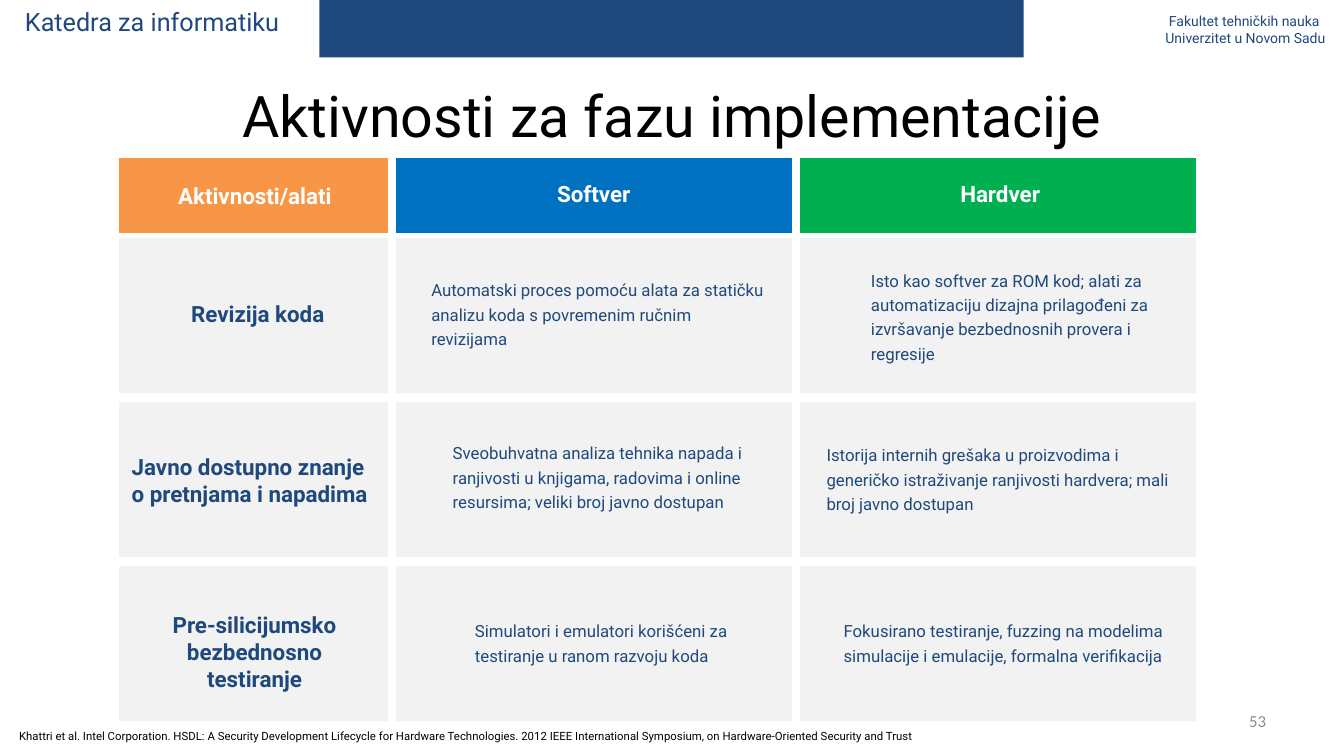
from pptx import Presentation
from pptx.util import Cm, Pt
from pptx.dml.color import RGBColor
from pptx.enum import shapes, text

NAVY = RGBColor(0x1F, 0x49, 0x7D)
ORANGE = RGBColor(0xF7, 0x96, 0x46)
BLUE = RGBColor(0x00, 0x70, 0xC0)
GREEN = RGBColor(0x00, 0xB0, 0x50)
PALE = RGBColor(0xF2, 0xF2, 0xF2)
GRAY = RGBColor(0x8C, 0x8C, 0x8C)
WHITE = RGBColor(0xFF, 0xFF, 0xFF)
BLACK = RGBColor(0, 0, 0)
MID = text.PP_ALIGN.CENTER
RIGHT = text.PP_ALIGN.RIGHT

COLS = [(2.95, 6.88, ORANGE), (9.93, 10.08, BLUE), (20.12, 10.08, GREEN)]
HEAD_TOP, HEAD_HIGH = 3.94, 1.98
ROW_TOP, ROW_HIGH, ROW_STEP = 5.94, 4.01, 4.14

HEADS = [
    ("Aktivnosti/alati", (4.24, 4.45, 4.45, 0.94), dict(wrap=False)),
    ("Softver", (13.77, 4.42, 2.39, 0.94), dict(wrap=False, align=MID)),
    ("Hardver", (22.17, 4.42, 6.07, 0.94), dict(align=MID)),
]
LABELS = [
    ("Revizija koda", (4.57, 7.44, 5.23, 0.94), {}),
    ("Javno dostupno znanje\no pretnjama i napadima", (3.07, 11.28, 7.01, 1.63), {}),
    ("Pre-silicijumsko\nbezbednosno\ntestiranje", (3.94, 15.27, 4.95, 2.31), dict(align=MID)),
]
NOTES = [
    ("Automatski proces pomoću alata za statičku analizu koda "
     "s povremenim ručnim revizijama", (10.74, 7.19, 8.84, 1.37)),
    ("Sveobuhvatna analiza tehnika napada i ranjivosti u knjigama, radovima "
     "i online resursima; veliki broj javno dostupan", (11.28, 10.97, 8.23, 2.01)),
    ("Simulatori i emulatori korišćeni za testiranje u ranom razvoju koda",
     (11.84, 15.47, 8.41, 1.37)),
    ("Isto kao softver za ROM kod; alati za automatizaciju dizajna prilagođeni "
     "za izvršavanje bezbednosnih provera i regresije", (21.82, 6.6, 7.9, 2.67)),
    ("Istorija internih grešaka u proizvodima i generičko istraživanje "
     "ranjivosti hardvera; mali broj javno dostupan", (20.7, 11.02, 9.02, 2.01)),
    ("Fokusirano testiranje, fuzzing na modelima simulacije i emulacije, "
     "formalna verifikacija", (21.13, 15.47, 9.25, 1.37)),
]
CITE = ("Khattri et al. Intel Corporation. HSDL: A Security Development Lifecycle "
        "for Hardware Technologies. 2012 IEEE International Symposium, "
        "on Hardware-Oriented Security and Trust")


class Deck:
    face = "Roboto"
    edge = Pt(3)

    def __init__(self, slide):
        self.slide = slide

    def block(self, box, fill, edge=True):
        rect = self.slide.shapes.add_shape(shapes.MSO_SHAPE.RECTANGLE, *map(Cm, box))
        rect.shadow.inherit = False
        rect.fill.solid()
        rect.fill.fore_color.rgb = fill
        if edge:
            rect.line.color.rgb = WHITE
            rect.line.width = self.edge
        else:
            rect.line.fill.background()

    def label(self, words, box, size=16, color=NAVY, bold=False, align=None,
              face=None, wrap=True, grow=True, middle=True, tight=False,
              lead=None, indent=0, raised=False):
        frame = self.slide.shapes.add_textbox(*map(Cm, box)).text_frame
        frame.word_wrap = wrap
        if grow:
            frame.auto_size = text.MSO_AUTO_SIZE.SHAPE_TO_FIT_TEXT
        if middle:
            frame.vertical_anchor = text.MSO_ANCHOR.MIDDLE
        if tight:
            frame.margin_left = frame.margin_right = Cm(0.13)
            frame.margin_top = frame.margin_bottom = Cm(0.08)
        for i, line in enumerate(words.split("\n")):
            para = frame.paragraphs[0] if i == 0 else frame.add_paragraph()
            para.alignment = align
            para.line_spacing = lead
            if indent and i == 0:
                para._p.get_or_add_pPr().set("indent", str(Cm(indent)))
            run = para.add_run()
            run.text = line
            font = run.font
            font.name, font.size, font.bold = face or self.face, Pt(size), bold
            font.color.rgb = color
            if raised:
                run._r.get_or_add_rPr().set("baseline", "30000")


def main():
    show = Presentation()
    show.slide_width, show.slide_height = Cm(33.87), Cm(19.05)
    deck = Deck(show.slides.add_slide(show.slide_layouts[6]))

    deck.label("Fakultet tehničkih nauka\nUniverzitet u Novom Sadu",
               (29.12, 0.2, 5.31, 1.12), size=10, middle=False, indent=0.09)
    deck.block((8.05, -0.05, 17.75, 1.5), NAVY, edge=False)
    deck.label("Katedra za informatiku", (0.38, 0.03, 8.15, 1.02), size=18, middle=False)
    deck.label("Aktivnosti za fazu implementacije", (1.7, 2.06, 30.48, 1.88),
               size=41, color=BLACK, align=MID, lead=0.9, grow=False)

    for left, wide, fill in COLS:
        deck.block((left, HEAD_TOP, wide, HEAD_HIGH), fill)
        for row in range(3):
            deck.block((left, ROW_TOP + row * ROW_STEP, wide, ROW_HIGH), PALE)

    for words, box, form in HEADS:
        deck.label(words, box, color=WHITE, bold=True, **form)
    for words, box, form in LABELS:
        deck.label(words, box, bold=True, **form)
    for words, box in NOTES:
        deck.label(words, box, size=12, lead=Pt(17.5), tight=True)

    deck.label(CITE, (0.23, 18.19, 27.25, 0.86), size=14, color=BLACK,
               wrap=False, middle=False, raised=True)
    deck.label("53", (30.18, 17.65, 1.98, 1.02), size=12, color=GRAY,
               face="Calibri", align=RIGHT, grow=False)
    show.save("out.pptx")


if __name__ == "__main__":
    main()
